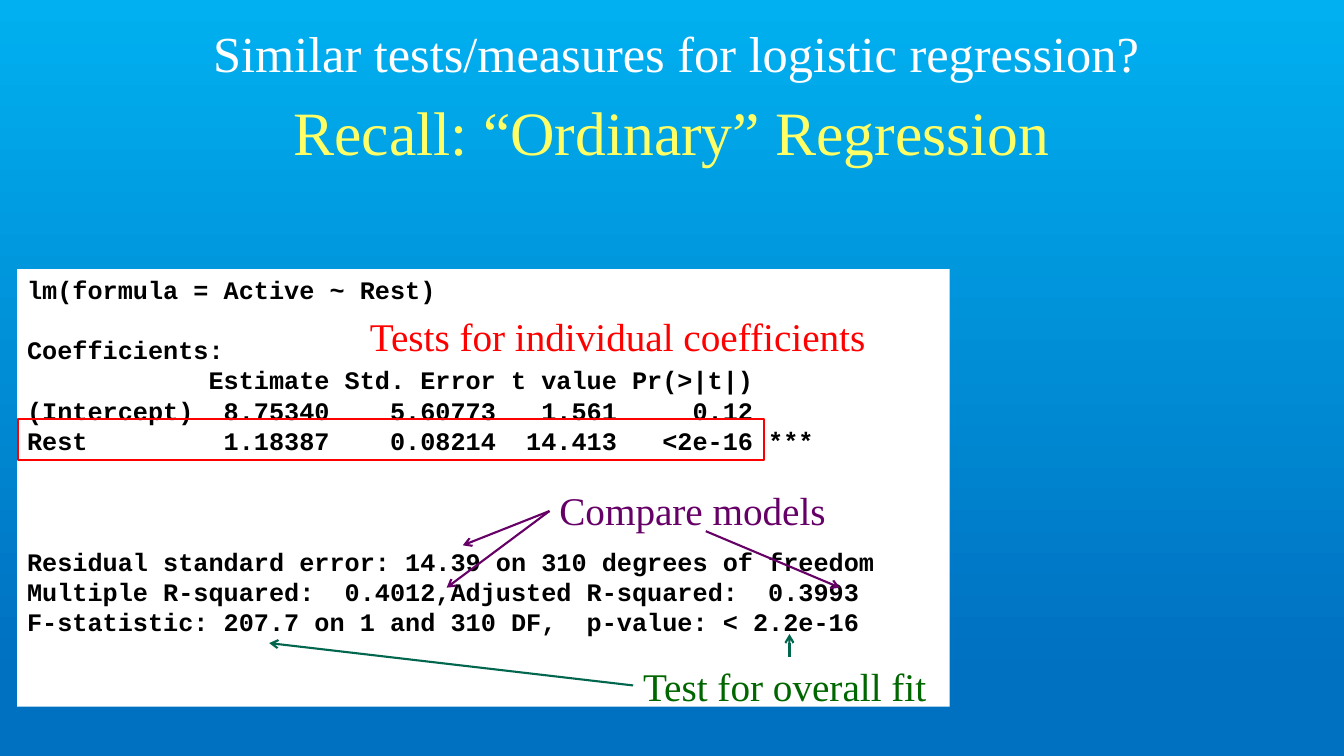
from lxml.etree import SubElement
from pptx import Presentation
from pptx.dml.color import RGBColor
from pptx.enum.shapes import MSO_CONNECTOR, MSO_SHAPE
from pptx.enum.text import MSO_ANCHOR, PP_ALIGN
from pptx.oxml.ns import qn
from pptx.util import Inches, Pt

SKY = RGBColor(0x00, 0xB0, 0xF0)
BLUE = RGBColor(0x00, 0x70, 0xC0)
YELLOW = RGBColor(0xFF, 0xFF, 0x66)
WHITE = RGBColor(0xFF, 0xFF, 0xFF)
BLACK = RGBColor(0x00, 0x00, 0x00)
RED = RGBColor(0xFF, 0x00, 0x00)
GREEN = RGBColor(0x00, 0x66, 0x00)
TEAL = RGBColor(0x00, 0x66, 0x4D)
PURPLE = RGBColor(0x66, 0x00, 0x66)
SERIF, MONO = "Times New Roman", "Courier New"
CHAR_WIDTH = 0.15
LINE_HEIGHT = 21.6
COLUMN_STOPS = [(20, "r"), (31, "r"), (39, "r"), (48, "r"), (49, "l")]

OUTPUT = [
    ("lm(formula = Active ~ Rest)", 0),
    ("Coefficients:", 1),
    ("\tEstimate\tStd. Error\tt value\tPr(>|t|)", 0),
    ("(Intercept)\t8.75340\t5.60773\t1.561\t0.12", 0),
    ("Rest\t1.18387\t0.08214\t14.413\t<2e-16\t***", 0),
    ("Residual standard error: 14.39 on 310 degrees of freedom", 3),
    ("Multiple R-squared:  0.4012,\tAdjusted R-squared:  0.3993", 0),
    ("F-statistic: 207.7 on 1 and 310 DF,  p-value: < 2.2e-16", 0),
]


def style(p, size, color, name=SERIF, bold=False):
    """Set the font of a whole paragraph."""
    p.font.size, p.font.name, p.font.bold = Pt(size), name, bold
    p.font.color.rgb = color


def add_background(s):
    """Fill the slide with a vertical blue gradient."""
    fill = s.background.fill
    fill.gradient()
    fill.gradient_angle = 270
    for stop, position, color in zip(fill.gradient_stops, (0, 0.9), (SKY, BLUE)):
        stop.position = position
        stop.color.rgb = color


def add_title(s, x, y, w, h):
    """Place and format the title placeholder."""
    sp = s.shapes.title
    sp.left, sp.top, sp.width, sp.height = map(Inches, (x, y, w, h))
    tf = sp.text_frame
    tf.text = "Recall: “Ordinary” Regression"
    tf.vertical_anchor = MSO_ANCHOR.MIDDLE
    tf.paragraphs[0].alignment = PP_ALIGN.CENTER
    style(tf.paragraphs[0], 44, YELLOW)


def add_label(s, text, x, y, w, h, color, size=28, align=PP_ALIGN.LEFT):
    """Add a one-line serif label."""
    tf = s.shapes.add_textbox(*map(Inches, (x, y, w, h))).text_frame
    tf.word_wrap = True
    tf.text = text
    tf.paragraphs[0].alignment = align
    style(tf.paragraphs[0], size, color)


def add_rect(s, x, y, w, h):
    """Add a rectangle without a shadow."""
    sp = s.shapes.add_shape(MSO_SHAPE.RECTANGLE, *map(Inches, (x, y, w, h)))
    sp.shadow.inherit = False
    return sp


def set_column_stops(p):
    """Align the coefficient columns with tab stops."""
    tabs = SubElement(p._p.get_or_add_pPr(), qn("a:tabLst"))
    for column, align in COLUMN_STOPS:
        SubElement(tabs, qn("a:tab"), pos=str(Inches(column * CHAR_WIDTH)), algn=align)


def add_arrow(s, x1, y1, x2, y2, color):
    """Draw a line with an open arrowhead at its end."""
    line = s.shapes.add_connector(MSO_CONNECTOR.STRAIGHT, *map(Inches, (x1, y1, x2, y2)))
    line.line.color.rgb = color
    line.line.width = Pt(1.5)
    SubElement(line.line._get_or_add_ln(), qn("a:tailEnd"), type="arrow")
    SubElement(line._element.spPr, qn("a:effectLst"))


def add_output(s, x, y, w, h):
    """Add the white panel with the regression output."""
    sp = add_rect(s, x, y, w, h)
    sp.fill.solid()
    sp.fill.fore_color.rgb = WHITE
    sp.line.fill.background()
    tf = sp.text_frame
    tf.word_wrap = True
    tf.vertical_anchor = MSO_ANCHOR.TOP
    for i, (text, gap) in enumerate(OUTPUT):
        p = tf.paragraphs[0] if i == 0 else tf.add_paragraph()
        p.add_run().text = text
        p.alignment = PP_ALIGN.LEFT
        p.line_spacing = Pt(LINE_HEIGHT)
        p.space_before = Pt(gap * LINE_HEIGHT)
        style(p, 18, BLACK, MONO, True)
        if 2 <= i <= 4:
            set_column_stops(p)


def add_annotations(s, x, y):
    """Mark up the output panel whose top left corner is given."""
    add_label(s, "Tests for individual coefficients", x + 3.4, y + 0.38, 5.26, 0.57, RED)
    frame = add_rect(s, x + 0.01, y + 1.49, 7.4, 0.4)
    frame.fill.background()
    frame.line.color.rgb = RED
    frame.line.width = Pt(1.5)
    add_label(s, "Test for overall fit", x + 6.11, y + 3.85, 3.1, 0.57, GREEN)
    add_label(s, "Compare models", x + 5.28, y + 2.11, 3.93, 0.57, PURPLE)
    for x1, y1, x2, y2, color in [
        (5.28, 2.4, 4.26, 3.16, PURPLE),
        (5.28, 2.4, 4.42, 2.74, PURPLE),
        (6.83, 2.6, 8.16, 3.16, PURPLE),
        (6.11, 4.13, 2.5, 3.71, TEAL),
        (7.66, 3.85, 7.66, 3.62, TEAL),
    ]:
        add_arrow(s, x + x1, y + y1, x + x2, y + y2, color)


def main():
    """Build and save the slide."""
    prs = Presentation()
    prs.slide_width, prs.slide_height = Inches(13.33), Inches(7.5)
    s = prs.slides.add_slide(prs.slide_layouts[5])
    add_background(s)
    add_title(s, 1, 0.67, 11.33, 1.25)
    add_label(s, "Similar tests/measures for logistic regression?",
              1.92, 0.17, 9.58, 0.71, WHITE, 36, PP_ALIGN.CENTER)
    add_output(s, 0.17, 2.67, 9.25, 4.34)
    add_annotations(s, 0.17, 2.67)
    prs.save("out.pptx")


if __name__ == "__main__":
    main()
